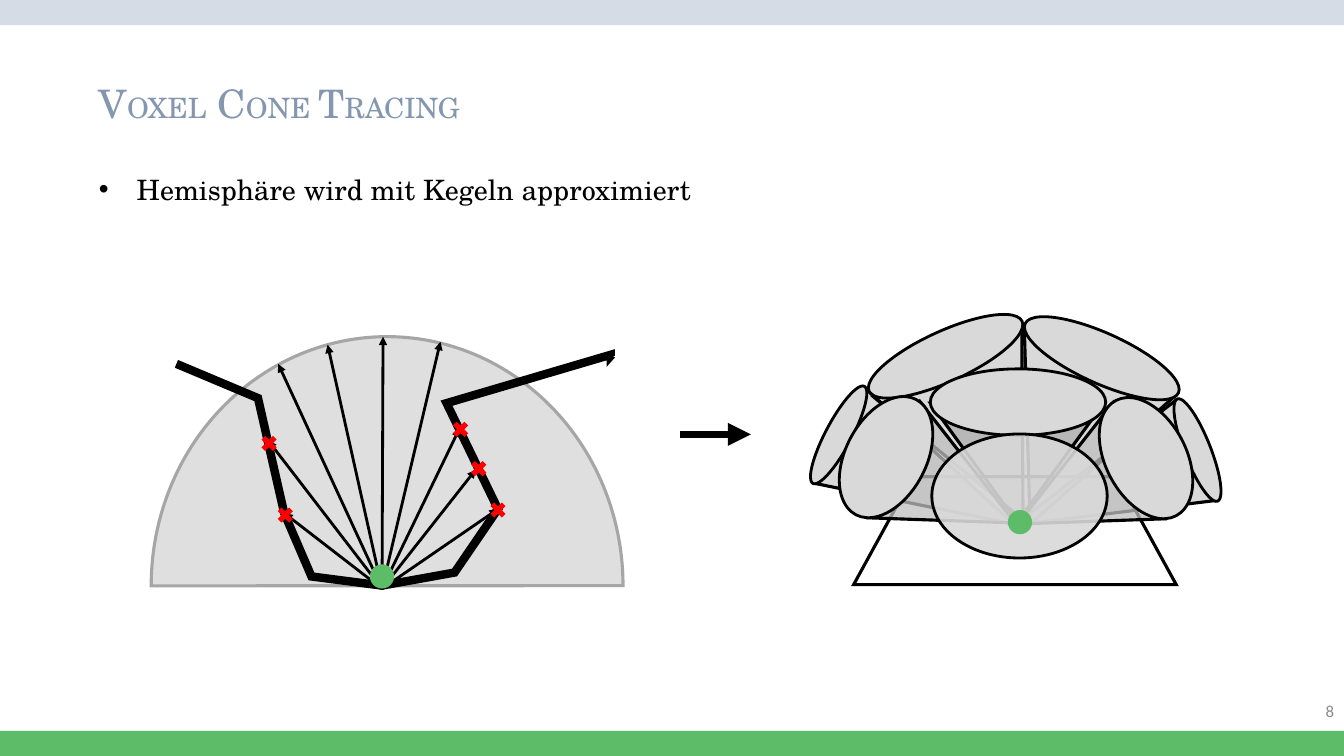
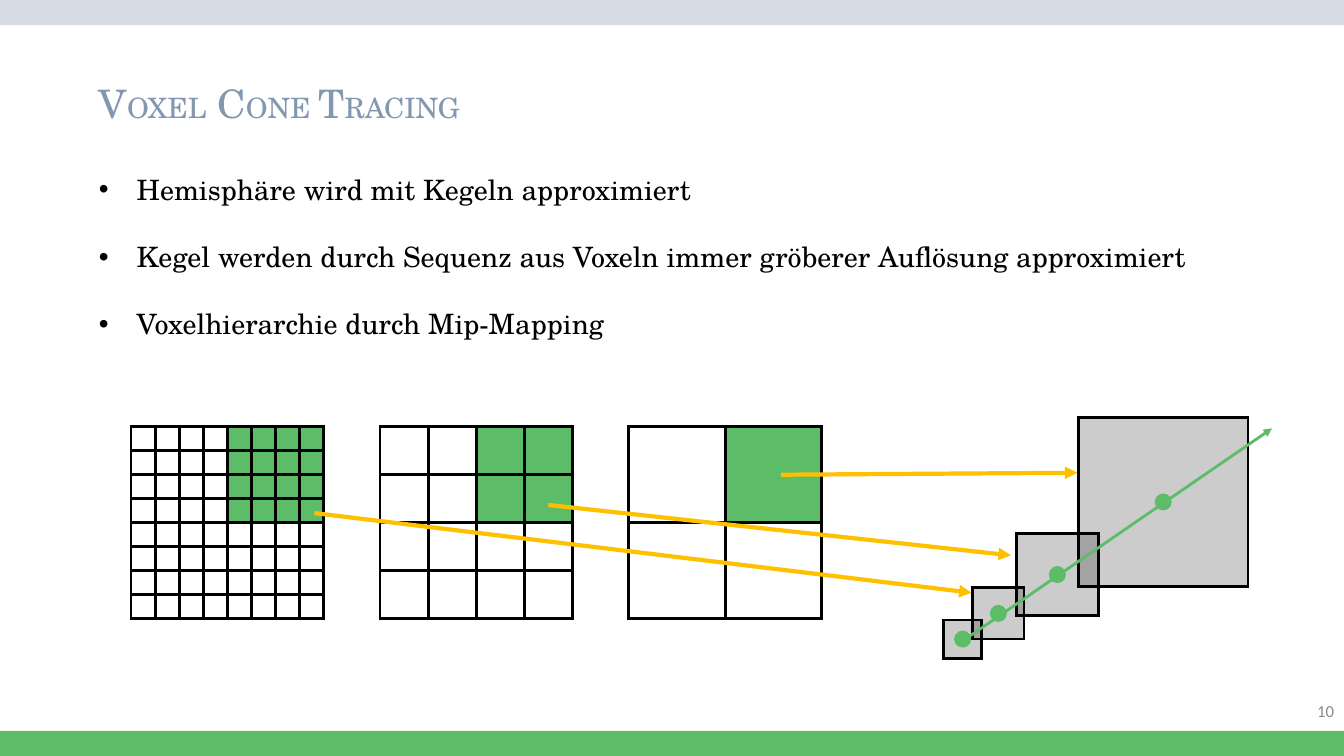
from lxml.etree import SubElement as Sub
from pptx import Presentation
from pptx.dml.color import RGBColor
from pptx.enum.shapes import MSO_CONNECTOR as Conn, MSO_SHAPE as Geo
from pptx.enum.text import MSO_ANCHOR as Anchor, MSO_AUTO_SIZE as Auto, PP_ALIGN as Align
from pptx.oxml.ns import qn
from pptx.util import Pt

# Shared look
WIDE, HIGH, BAND = 960, 540, 18
SERIF, SANS = "TeX Gyre Schola", "Calibri"
GREEN, PALE, SLATE, GREY = "5CBC67", "D6DCE5", "8497B0", "8C8C8C"
BLACK, WHITE, RED, GOLD = "000000", "FFFFFF", "FF0000", "FFC000"
DISC, SHADE, DOME = "D9D9D9", "BFBFBF", "A6A6A6"
TITLE = [("V", 28), ("OXEL", 20), (" C", 28), ("ONE ", 20), ("T", 28), ("RACING", 20)]
LEFT, TEXT_W = 63.4, 860


def tint(target, color):
    """Give a fill or a font one solid colour."""
    if hasattr(target, "solid"):
        target.solid()
        target = target.fore_color
    else:
        target = target.color
    target.rgb = RGBColor.from_string(color)


def stroke(shape, color, width, tip=False):
    tint(shape.line.fill, color)
    shape.line.width = Pt(width)
    ln = shape.element.find(".//" + qn("a:ln"))
    Sub(ln, qn("a:miter"), lim="800000")
    if tip:
        Sub(ln, qn("a:tailEnd"), type="triangle")


def paint(shape, fill, line=None, width=2, alpha=100):
    """Set fill, opacity in percent and outline; None means no paint."""
    shape.shadow.inherit = False
    if fill:
        tint(shape.fill, fill)
        if alpha < 100:
            color = shape.element.find(".//" + qn("a:srgbClr"))
            Sub(color, qn("a:alpha"), val=str(alpha * 1000))
    else:
        shape.fill.background()
    if line:
        stroke(shape, line, width)
    else:
        shape.line.fill.background()


def draw(slide, geo, box, fill, line=None, width=2, alpha=100, turn=0, adj=()):
    shape = slide.shapes.add_shape(geo, *map(Pt, box))
    shape.rotation = turn
    for i, value in enumerate(adj):
        shape.adjustments[i] = value
    paint(shape, fill, line, width, alpha)
    return shape


def mark(slide, geo, mid, size, fill):
    """Draw a small shape around its centre."""
    x, y = mid
    draw(slide, geo, (x - size / 2, y - size / 2, size, size), fill)


def link(slide, start, end, color=BLACK, width=2, tip=True):
    line = slide.shapes.add_connector(Conn.STRAIGHT, *map(Pt, (*start, *end)))
    stroke(line, color, width, tip)
    Sub(line.element.spPr, qn("a:effectLst"))


def write(para, text, size, color, font=SERIF):
    run = para.add_run()
    run.text = text
    run.font.size, run.font.name = Pt(size), font
    tint(run.font, color)


def place(shape, box, anchor=Anchor.TOP):
    shape.left, shape.top, shape.width, shape.height = map(Pt, box)
    frame = shape.text_frame
    frame.word_wrap, frame.auto_size = True, Auto.NONE
    frame.vertical_anchor = anchor
    return frame


def start(deck, number, items):
    """Add a slide with title, bullet list and page number."""
    slide = deck.slides.add_slide(deck.slide_layouts[1])
    para = place(slide.shapes.title, (LEFT, 52.8, TEXT_W, 42)).paragraphs[0]
    para.alignment = Align.LEFT
    for text, size in TITLE:
        write(para, text, size, SLATE)

    frame = place(slide.placeholders[1], (LEFT, 119.5, TEXT_W, 48 * len(items)))
    for i, item in enumerate(items):
        para = frame.add_paragraph() if i else frame.paragraphs[0]
        para.space_before, para.space_after = Pt(0), Pt(24)
        write(para, item, 20, BLACK)

    box = (WIDE - 216, 493.2, 216, 28.8)
    page = slide.shapes.add_textbox(*map(Pt, box))
    para = place(page, box, Anchor.MIDDLE).paragraphs[0]
    para.alignment = Align.RIGHT
    write(para, number, 12, GREY, SANS)
    return slide


def bands(slide):
    """Put both bands on the layout that the slides share."""
    tree = slide.slide_layout.shapes.element
    for top, color in ((0, PALE), (HIGH - BAND, GREEN)):
        band = draw(slide, Geo.RECTANGLE, (0, top, WIDE, BAND), color)
        tree.insert(2, band.element)


def cone(slide, side, turn, disc, tilt, fill=BLACK, alpha=15, tip=0.5):
    draw(slide, Geo.ISOSCELES_TRIANGLE, side, fill, BLACK, 2.25, alpha, turn, [tip])
    draw(slide, Geo.OVAL, disc, DISC, BLACK, turn=tilt)


def cones(slide):
    draw(slide, Geo.TRAPEZOID, (609.8, 340.6, 230.4, 77), WHITE, BLACK, 2.25, adj=[0.548])
    # Rear cones
    cone(slide, (645.1, 252, 117.4, 125.3), 154.5, (657.4, 194.4, 36, 120.2), 65.4)
    cone(slide, (751, 278.6, 77, 139.7), 247.6, (846, 282.2, 18.7, 78.5), 158.5)
    cone(slide, (623.5, 272.9, 77, 139.7), 117, (589.7, 271.4, 18.7, 78.5), 27.9)
    cone(slide, (702, 254.2, 117.4, 125.3), 203.4, (769, 195.8, 36, 120.2), 114.3)
    # Front cones
    cone(slide, (723.6, 300.2, 90.7, 97.2), 246.1,
         (789.8, 280.8, 57.6, 92.9), 332.4, SHADE, 75, 0.43)
    cone(slide, (637.9, 299.5, 90.7, 97.2), 113.9,
         (604.1, 280.1, 57.6, 92.9), 27.6, SHADE, 75, 0.57)
    cone(slide, (664.6, 288, 123.8, 85), 180, (703.4, 224.6, 47.5, 125.3), 90)
    draw(slide, Geo.OVAL, (665.6, 310, 125.3, 88.6), DISC, BLACK, alpha=90)
    mark(slide, Geo.OVAL, (728.6, 373), 17.3, GREEN)


def dome(slide):
    draw(slide, Geo.CHORD, (108, 240.5, 337, 355.7), DOME, DOME, 2.25, 35,
         adj=[107.965, 215.998])
    # Wall outline
    wall = [(126, 259.9), (184.3, 284.4), (203, 366.5), (222.5, 411.8),
            (272.9, 418.3), (324.7, 409), (355.7, 363.6), (319, 288),
            (436.3, 253.4), (436.3, 254.2), (437, 253.4)]
    first, *rest = [(Pt(x), Pt(y)) for x, y in wall]
    path = slide.shapes.build_freeform(*first)
    path.add_line_segments(rest, close=False)
    paint(path.convert_to_shape(), None, BLACK, 6)
    # Rays and hits
    for end in ((198.7, 259.9), (234, 246.2), (273.6, 240.5), (314.6, 244.1),
                (328.3, 306), (339.8, 335.5), (355.7, 363.6), (203, 366.5),
                (191.5, 314.6)):
        link(slide, (272.9, 420.5), end)
    for hit in ((203.8, 367.9), (192.2, 316.8), (329, 306.7), (342, 334.8),
                (355.7, 364.3)):
        mark(slide, Geo.MATH_MULTIPLY, hit, 15.8, RED)
    mark(slide, Geo.OVAL, (272.9, 411.8), 17.3, GREEN)


def grid(slide, x, y, side, count):
    """Draw a square grid with its upper right quarter green."""
    half, step = side / 2, side / count
    draw(slide, Geo.RECTANGLE, (x + half, y, half, half), GREEN)
    draw(slide, Geo.RECTANGLE, (x, y, side, side), None, BLACK)
    for i in range(1, count):
        gap = i * step
        link(slide, (x + gap, y), (x + gap, y + side), width=2.25, tip=False)
        link(slide, (x, y + gap), (x + side, y + gap), width=2.25, tip=False)


def levels(slide):
    for i, count in enumerate((8, 4, 2)):
        grid(slide, 93.6 + 177.8 * i, 304.4, 137.5, count)
    for begin, end in (((558, 339.1), (769.7, 337.7)),
                       ((391.7, 360.7), (722.2, 396.7)),
                       ((224.6, 366.5), (694.1, 423.4))):
        link(slide, begin, end, GOLD, 3)


def chain(slide):
    """Draw voxels growing along one ray, a dot in the middle of each."""
    cubes = [(694.8, 419.8, 36.7), (673.9, 442.8, 27.4),
             (770.4, 298.1, 121), (725.8, 380.9, 59)]
    for x, y, size in cubes:
        draw(slide, Geo.RECTANGLE, (x, y, size, size), BLACK, BLACK, alpha=20)
    link(slide, (687.6, 457.9), (908.6, 306), GREEN)
    for x, y, size in cubes:
        mark(slide, Geo.OVAL, (x + size / 2, y + size / 2), 12.2, GREEN)


def main():
    deck = Presentation()
    deck.slide_width, deck.slide_height = Pt(WIDE), Pt(HIGH)
    items = ["Hemisphäre wird mit Kegeln approximiert",
             "Kegel werden durch Sequenz aus Voxeln immer gröberer Auflösung approximiert",
             "Voxelhierarchie durch Mip-Mapping"]

    # Rays become cones
    slide = start(deck, "8", items[:1])
    link(slide, (486, 310.3), (536.4, 310.3), width=5.5)
    cones(slide)
    dome(slide)
    bands(slide)

    # Voxel hierarchy
    slide = start(deck, "10", items)
    levels(slide)
    chain(slide)

    deck.save("out.pptx")


if __name__ == "__main__":
    main()
